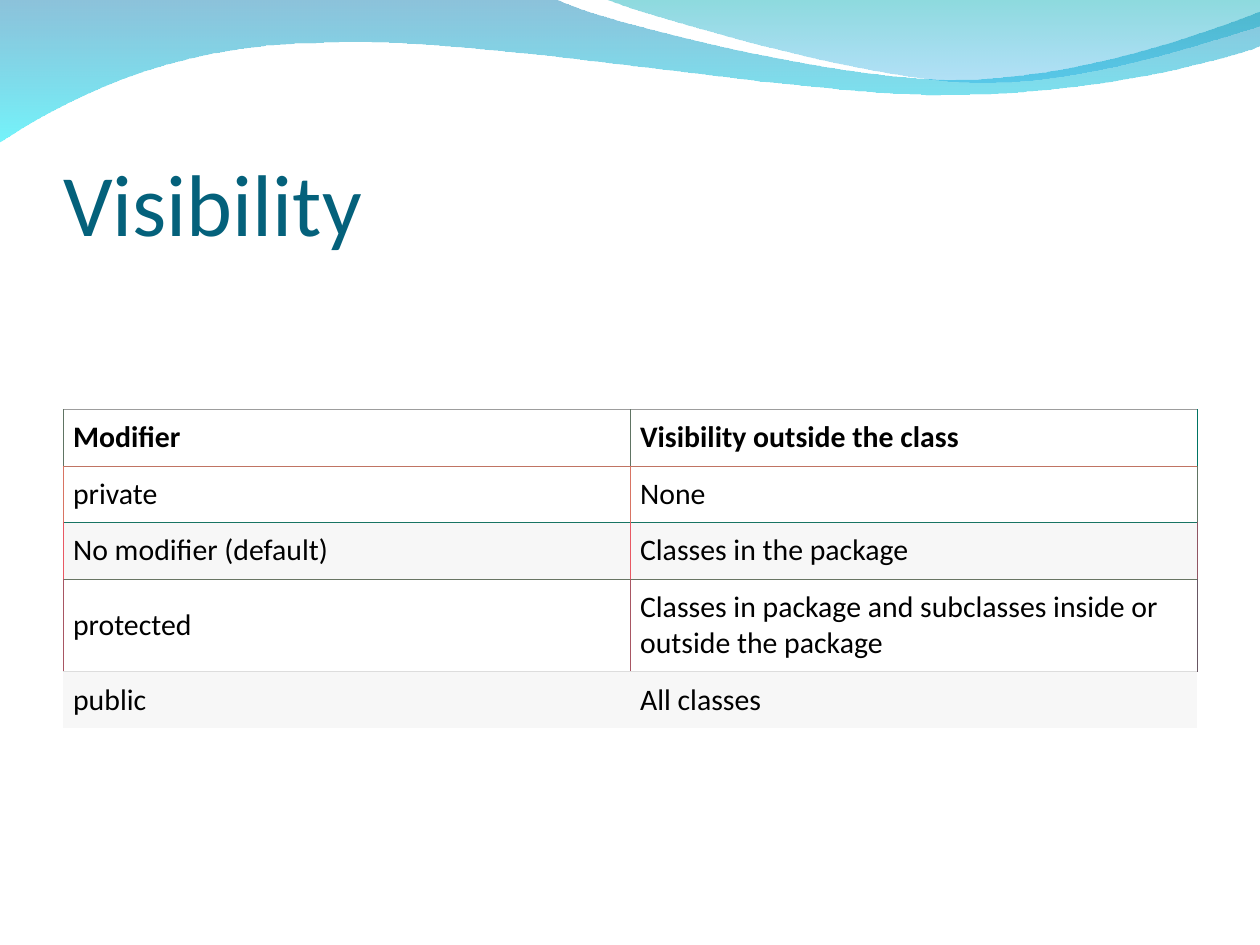
from dataclasses import dataclass
from lxml import etree
from pptx import Presentation, util as u
from pptx.dml.color import RGBColor
from pptx.enum import text
from pptx.oxml import ns


@dataclass(frozen=True)
class Theme:
    font: str = "Calibri"
    title: str = "04617B"
    ink: str = "000000"
    plain: str = "FFFFFF"
    band: str = "F7F7F7"
    head: int = 50
    body: int = 17


T = Theme()
WIDE, HIGH = 10, 7.5
MARGIN = WIDE * 0.05
TITLE = "Visibility"
ROWS = [
    ("Modifier", "Visibility outside the class"),
    ("private", "None"),
    ("No modifier (default)", "Classes in the package"),
    ("protected", "Classes in package and subclasses inside or outside the package"),
    ("public", "All classes"),
]
TALL = 2.53
SHARES = [0.45, 0.45, 0.45, 0.74, 0.45]
HEIGHTS = [TALL * share / sum(SHARES) for share in SHARES]
BANDS = [T.plain, T.plain, T.band, T.plain, T.band]
RULES = [("9D9D9D", 0.57), ("C07463", 0.23), ("187463", 0.23),
         ("687563", 0.23), ("DDDDDD", 0.28), None]
SIDES = [("607463", "607463", "007463"), ("D87463", "D87463", "607463"),
         ("E85863", "E85863", "905663"), ("A85663", "A85663", "685763"), None]
WAVES = [
    ([[(0, -0.01)], [(4.4, -0.01)],
      [(4.76, 0.17), (6.64, 0.63), (7.58, 0.63)],
      [(8.53, 0.63), (9.58, 0.26), (10, 0.09)], [(10.01, 0.36)],
      [(9.83, 0.44), (8.7, 0.76), (7.46, 0.75)],
      [(6.22, 0.75), (3.82, 0.28), (2.57, 0.34)],
      [(1.29, 0.35), (0.46, 0.83), (-0.01, 1.13)]],
     [("0079AF", 45), ("00EBF8", 55)]),
    ([[(4.79, -0.01)],
      [(5.09, 0.11), (6.82, 0.62), (7.69, 0.65)],
      [(8.56, 0.69), (9.61, 0.32), (10, 0.21)], [(10, 0)]],
     [("00ADB6", 45), ("009BE5", 30)]),
]


def write(frame, words, size=T.body, color=T.ink, bold=False):
    frame.word_wrap = True
    para = frame.paragraphs[0]
    para.alignment = text.PP_ALIGN.LEFT
    run = para.add_run()
    run.text = words
    font = run.font
    font.name, font.size, font.bold = T.font, u.Pt(size), bold
    font.color.rgb = RGBColor.from_string(color)


def node(parent, tag, **attrs):
    return etree.SubElement(parent, ns.qn(tag), {k: str(v) for k, v in attrs.items()})


def bend(shape, parts):
    lines = list(shape._element.iter(ns.qn("a:lnTo")))
    for part in parts:
        group, lines = lines[:len(part)], lines[len(part):]
        if len(part) == 3:
            arc = etree.Element(ns.qn("a:cubicBezTo"))
            group[0].addprevious(arc)
            for line in group:
                arc.append(line[0])
                line.getparent().remove(line)


def wave(slide, parts, stops):
    points = [(u.Inches(x), u.Inches(y)) for part in parts for x, y in part]
    build = slide.shapes.build_freeform(*points[0], scale=1)
    build.add_line_segments(points[1:], close=True)
    shape = build.convert_to_shape()
    bend(shape, parts[1:])
    shape.shadow.inherit = False
    shape.line.fill.background()
    shape.fill.gradient()
    shape.fill.gradient_angle = 270
    for stop, (color, alpha), place in zip(shape.fill.gradient_stops, stops, (0, 1)):
        stop.position = place
        stop.color.rgb = RGBColor.from_string(color)
        tint = stop.color._xFill[0]
        for old in list(tint):
            tint.remove(old)
        node(tint, "a:alpha", val=alpha * 1000)


def border(cell, edges):
    props = cell._tc.get_or_add_tcPr()
    for spot, (side, rule) in enumerate(zip("LRTB", edges)):
        color, width = rule or (None, 0)
        line = etree.Element(ns.qn(f"a:ln{side}"), w=str(int(u.Pt(width))))
        if color:
            node(node(line, "a:solidFill"), "a:srgbClr", val=color)
        else:
            node(line, "a:noFill")
        props.insert(spot, line)


def grid(slide):
    cols = len(ROWS[0])
    span = WIDE - 2 * MARGIN
    box = [u.Inches(n) for n in (MARGIN, 3.25, span, TALL)]
    table = slide.shapes.add_table(len(ROWS), cols, *box).table
    table.first_row = table.horz_banding = False
    for col in table.columns:
        col.width = u.Inches(span / cols)
    for r, words in enumerate(ROWS):
        table.rows[r].height = u.Inches(HEIGHTS[r])
        sides = [(c, 0.28) for c in SIDES[r]] if SIDES[r] else [None] * (cols + 1)
        for c, word in enumerate(words):
            cell = table.cell(r, c)
            cell.margin_left = cell.margin_right = u.Inches(0.08)
            cell.margin_top = cell.margin_bottom = u.Inches(0.05)
            cell.vertical_anchor = text.MSO_ANCHOR.MIDDLE
            cell.fill.solid()
            cell.fill.fore_color.rgb = RGBColor.from_string(BANDS[r])
            write(cell.text_frame, word, bold=r == 0)
            border(cell, (sides[c], sides[c + 1], RULES[r], RULES[r + 1]))


def head(slide):
    title = slide.shapes.title
    title.left, title.top, title.width, title.height = [
        u.Inches(n) for n in (MARGIN, 0.77, WIDE - 2 * MARGIN, 1.25)]
    frame = title.text_frame
    frame.margin_left = frame.margin_right = frame.margin_bottom = 0
    frame.margin_top = u.Inches(0.05)
    frame.vertical_anchor = text.MSO_ANCHOR.BOTTOM
    frame.auto_size = text.MSO_AUTO_SIZE.NONE
    write(frame, TITLE, size=T.head, color=T.title)
    slide.shapes._spTree.append(title._element)


def main():
    deck = Presentation()
    deck.slide_width, deck.slide_height = u.Inches(WIDE), u.Inches(HIGH)
    slide = deck.slides.add_slide(deck.slide_layouts[5])
    for parts, stops in WAVES:
        wave(slide, parts, stops)
    head(slide)
    grid(slide)
    deck.save("out.pptx")


if __name__ == "__main__":
    main()
